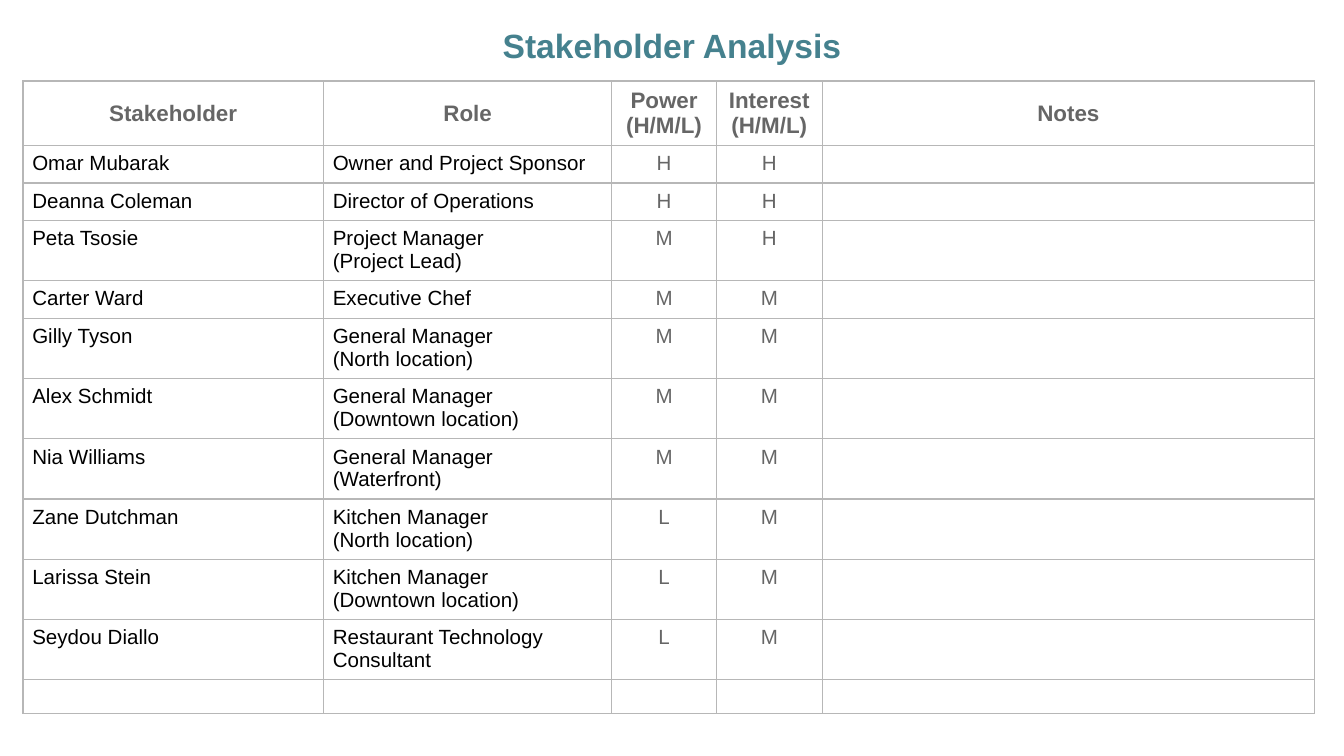
from lxml import etree
from pptx import Presentation
from pptx.dml.color import RGBColor
from pptx.enum.text import MSO_ANCHOR, MSO_AUTO_SIZE, PP_ALIGN
from pptx.oxml.ns import qn
from pptx.util import Pt

CENTER, LEFT = PP_ALIGN.CENTER, PP_ALIGN.LEFT
TOP, MIDDLE = MSO_ANCHOR.TOP, MSO_ANCHOR.MIDDLE
NO_FIT = MSO_AUTO_SIZE.NONE
TITLE_ONLY = 5

FONT = "Arial"
TEAL, GREY, BLACK, BORDER = "45818E", "666666", "000000", "B7B7B7"
COLUMN_WIDTHS = [161, 154.5, 56, 56.8, 263.6]
HEADER_HEIGHT, LINE_HEIGHT, ROW_PADDING, EMPTY_HEIGHT = 34.5, 12.2, 7.9, 18.2
HEADERS = ["Stakeholder", "Role", "Power (H/M/L)", "Interest (H/M/L)", "Notes"]
STAKEHOLDERS = [
    ("Omar Mubarak", "Owner and Project Sponsor", "H", "H"),
    ("Deanna Coleman", "Director of Operations", "H", "H"),
    ("Peta Tsosie", "Project Manager\n(Project Lead)", "M", "H"),
    ("Carter Ward", "Executive Chef", "M", "M"),
    ("Gilly Tyson", "General Manager\n(North location)", "M", "M"),
    ("Alex Schmidt", "General Manager\n(Downtown location)", "M", "M"),
    ("Nia Williams", "General Manager (Waterfront)", "M", "M"),
    ("Zane Dutchman", "Kitchen Manager\n(North location)", "L", "M"),
    ("Larissa Stein", "Kitchen Manager\n(Downtown location)", "L", "M"),
    ("Seydou Diallo", "Restaurant Technology Consultant", "L", "M"),
]


def rgb(value):
    """Turn a hex string into a colour."""
    return RGBColor.from_string(value)


def set_attributes(target, values):
    """Set attributes from a dict of format values."""
    for name, value in values.items():
        setattr(target, name, value)


def write_text(tf, text, size, color, bold=False, align=LEFT):
    """Write text, one paragraph a line, in one format."""
    tf.text = text
    for p in tf.paragraphs:
        p.alignment = align
        for r in p.runs:
            set_attributes(r.font, {"name": FONT, "size": Pt(size), "bold": bold})
            r.font.color.rgb = rgb(color)
        if not text:
            p._p.get_or_add_endParaRPr().set("sz", str(size * 100))


def set_borders(cell):
    """Draw a thin line on all four sides of a cell."""
    tc_pr = cell._tc.get_or_add_tcPr()
    for side in ("a:lnL", "a:lnR", "a:lnT", "a:lnB"):
        ln = etree.SubElement(tc_pr, qn(side), w=str(Pt(0.75)))
        fill = etree.SubElement(ln, qn("a:solidFill"))
        etree.SubElement(fill, qn("a:srgbClr"), val=BORDER)


def format_cell(cell, text, size, color, bold=False, align=LEFT, anchor=TOP):
    """Fill one table cell with text, margins, borders and no colour."""
    set_attributes(cell, {
        "margin_left": Pt(5), "margin_right": Pt(5),
        "margin_top": Pt(3.6), "margin_bottom": Pt(3.6),
        "vertical_anchor": anchor,
    })
    set_borders(cell)
    cell.fill.background()
    write_text(cell.text_frame, text, size, color, bold, align)


def row_height(role):
    """Give the height of a row from the lines its role needs."""
    lines = 2 if "\n" in role or len(role) > 25 else 1
    return ROW_PADDING + lines * LINE_HEIGHT


def add_title(s, text):
    """Place and format the slide title."""
    sp = s.shapes.title
    set_attributes(sp, {"left": Pt(60), "top": Pt(3), "width": Pt(600), "height": Pt(36)})
    tf = sp.text_frame
    set_attributes(tf, {
        "margin_left": Pt(7.2), "margin_right": Pt(7.2),
        "margin_top": Pt(7.2), "margin_bottom": Pt(7.2),
        "vertical_anchor": TOP, "word_wrap": True, "auto_size": NO_FIT,
    })
    write_text(tf, text, 18, TEAL, True, CENTER)
    set_attributes(tf.paragraphs[0], {"line_spacing": 1.15, "space_before": Pt(0)})


def add_stakeholder_table(s):
    """Add the table: header, one row a stakeholder, one empty row."""
    rows = [(*person, "") for person in STAKEHOLDERS] + [("",) * len(HEADERS)]
    heights = [HEADER_HEIGHT, *(row_height(row[1]) for row in rows[:-1]), EMPTY_HEIGHT]
    frame = s.shapes.add_table(len(heights), len(HEADERS), Pt(12.3), Pt(43.4),
                               Pt(sum(COLUMN_WIDTHS)), Pt(sum(heights)))
    table = frame.table
    set_attributes(table, {"first_row": False, "horz_banding": False})
    for column, width in zip(table.columns, COLUMN_WIDTHS):
        column.width = Pt(width)
    for row, height in zip(table.rows, heights):
        row.height = Pt(height)
    for j, header in enumerate(HEADERS):
        format_cell(table.cell(0, j), header, 12, GREY, True, CENTER, MIDDLE)
    for i, row in enumerate(rows, 1):
        for j, text in enumerate(row):
            color, align = (BLACK, LEFT) if j < 2 else (GREY, CENTER)
            format_cell(table.cell(i, j), text, 11 if text else 9, color, align=align)


def main():
    """Build the slide and save it."""
    prs = Presentation()
    set_attributes(prs, {"slide_width": Pt(720), "slide_height": Pt(405)})
    s = prs.slides.add_slide(prs.slide_layouts[TITLE_ONLY])
    add_stakeholder_table(s)
    add_title(s, "Stakeholder Analysis")
    prs.save("out.pptx")


main()
